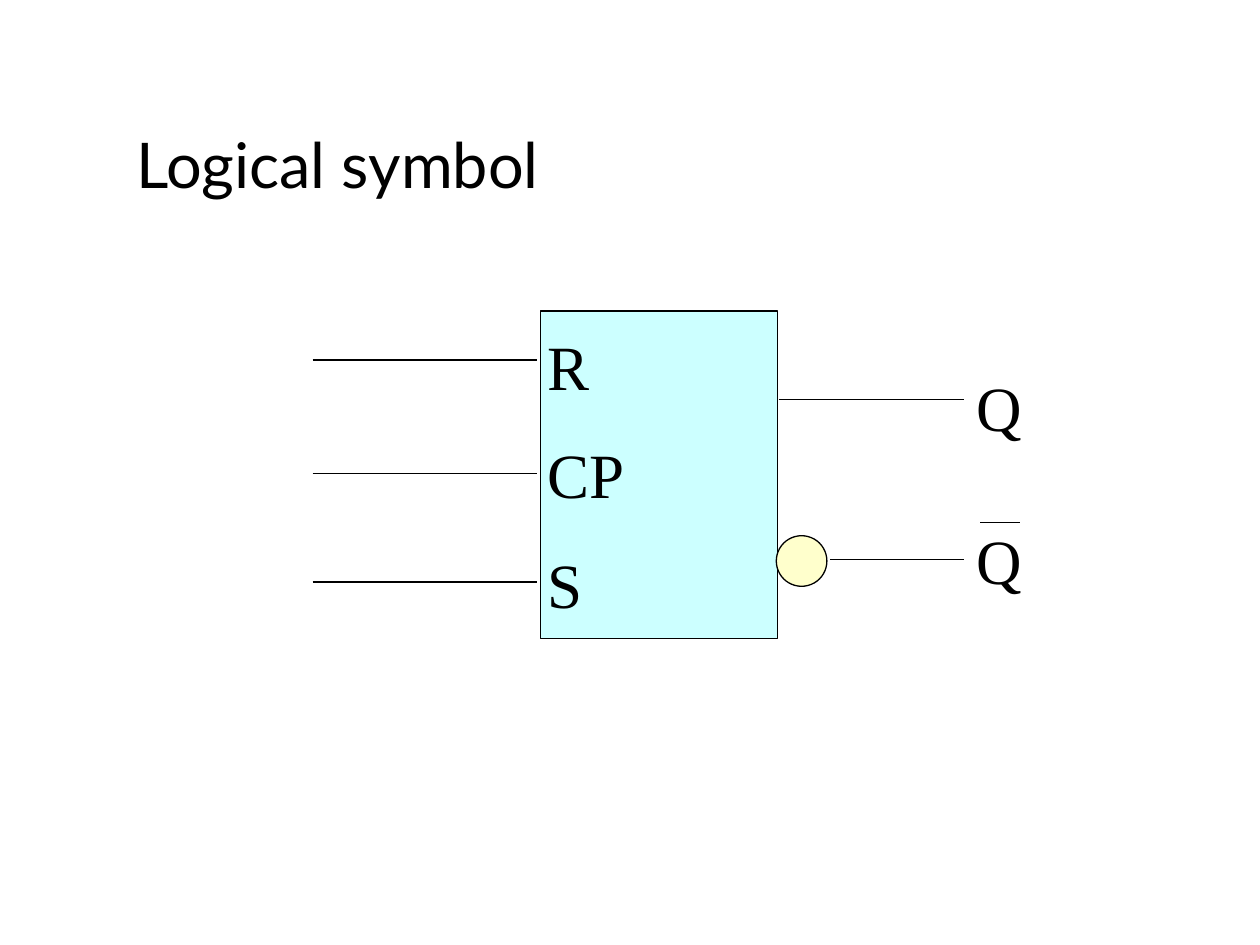
from lxml.etree import SubElement
from pptx import Presentation
from pptx.dml.color import RGBColor
from pptx.enum.shapes import MSO_CONNECTOR, MSO_SHAPE
from pptx.enum.text import MSO_ANCHOR, MSO_AUTO_SIZE, PP_ALIGN
from pptx.oxml.ns import qn
from pptx.util import Cm, Pt

COLORS = {"ink": "000000", "block": "CCFFFF", "bubble": "FFFFCC"}
INPUTS = [("R", 7.26, 6.32), ("CP", 9.55, 8.51), ("S", 11.73, 10.72)]
OUTPUTS = [(15.7, 8.05, 7.14), (16.74, 11.28, 10.24)]


def color(name):
    return RGBColor.from_string(COLORS[name])


def write(paragraph, text, font_name, alignment):
    paragraph.alignment = alignment
    run = paragraph.add_run()
    run.text = text
    run.font.name = font_name
    run.font.size = Pt(36)
    run.font.color.rgb = color("ink")


def set_title(slide, text):
    title = slide.shapes.title
    title.left, title.top = Cm(2.49), Cm(2.41)
    title.width, title.height = Cm(8.71), Cm(1.78)
    frame = title.text_frame
    frame.word_wrap = False
    frame.auto_size = MSO_AUTO_SIZE.SHAPE_TO_FIT_TEXT
    frame.vertical_anchor = MSO_ANCHOR.TOP
    write(frame.paragraphs[0], text, "Lato", PP_ALIGN.LEFT)


def add_body(slide, kind, fill, left, top, width, height):
    body = slide.shapes.add_shape(kind, Cm(left), Cm(top), Cm(width), Cm(height))
    body.shadow.inherit = False
    body.fill.solid()
    body.fill.fore_color.rgb = color(fill)
    body.line.color.rgb = color("ink")
    body.line.width = Pt(0.75)


def add_wire(slide, start, end, y):
    wire = slide.shapes.add_connector(
        MSO_CONNECTOR.STRAIGHT, Cm(start), Cm(y), Cm(end), Cm(y))
    wire.line.color.rgb = color("ink")
    wire.line.width = Pt(0.75)
    SubElement(wire.element.spPr, qn("a:effectLst"))


def add_label(slide, text, left, top):
    label = slide.shapes.add_textbox(Cm(left), Cm(top), Cm(2.54), Cm(2.49))
    frame = label.text_frame
    frame.word_wrap = True
    frame.margin_left = frame.margin_right = Cm(0.23)
    frame.margin_top = frame.margin_bottom = Cm(0.28)
    write(frame.paragraphs[0], text, "Times New Roman", PP_ALIGN.JUSTIFY)


def main():
    deck = Presentation()
    deck.slide_width, deck.slide_height = Cm(25.4), Cm(19.05)
    slide = deck.slides.add_slide(deck.slide_layouts[5])
    set_title(slide, "Logical symbol")
    add_body(slide, MSO_SHAPE.RECTANGLE, "block", 10.9, 6.27, 4.78, 6.6)
    add_body(slide, MSO_SHAPE.OVAL, "bubble", 15.65, 10.8, 1.02, 1.02)
    for name, wire_y, label_top in INPUTS:
        add_wire(slide, 6.3, 10.82, wire_y)
        add_label(slide, name, 10.8, label_top)
    for wire_start, wire_y, label_top in OUTPUTS:
        add_wire(slide, wire_start, 19.43, wire_y)
        add_label(slide, "Q", 19.46, label_top)
    add_wire(slide, 19.76, 20.57, 10.54)
    deck.save("out.pptx")


if __name__ == "__main__":
    main()
